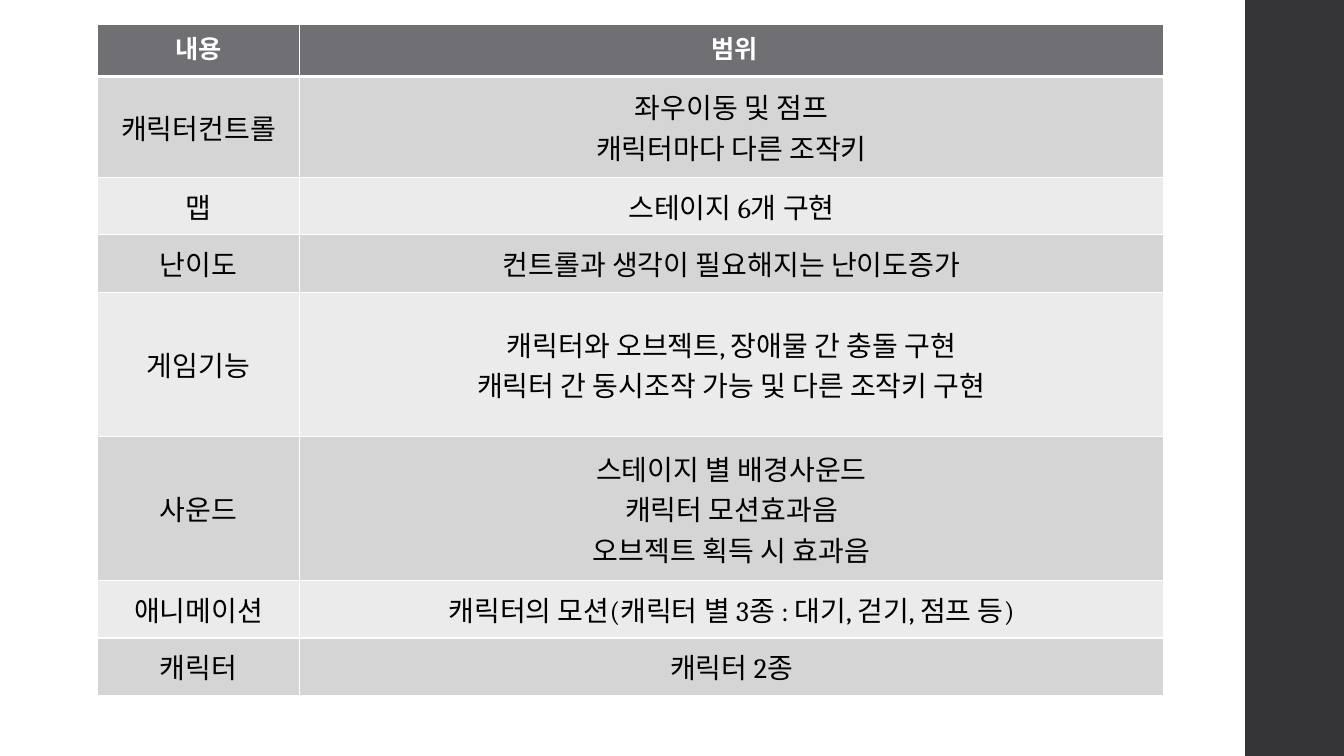
import pptx
import pptx.util
import pptx.dml.color
import pptx.enum.shapes
import pptx.enum.text
import pptx.oxml.ns
from lxml import etree

Inches = pptx.util.Inches
Pt = pptx.util.Pt

COLORS = {
    "white": "FFFFFF",
    "black": "000000",
    "side": "353537",
    "header": "6F6F74",
    "odd": "D5D5D6",
    "even": "EBEBEB",
}
FONT = "Cambria"
COLUMN_WIDTHS = [2, 8.57]
HEADER = ("내용", " 범위")
HEADER_HEIGHT = 0.52
SCOPE_ROWS = [
    (1, "캐릭터컨트롤", ["좌우이동 및 점프", "캐릭터마다 다른 조작키"]),
    (0.57, "맵", ["스테이지 6개 구현"]),
    (0.57, "난이도", ["컨트롤과 생각이 필요해지는 난이도증가"]),
    (1.43, "게임기능", ["캐릭터와 오브젝트, 장애물 간 충돌 구현",
                    "캐릭터 간 동시조작 가능 및 다른 조작키 구현"]),
    (1.43, "사운드", ["스테이지 별 배경사운드", "캐릭터 모션효과음",
                   "오브젝트 획득 시 효과음"]),
    (0.57, "애니메이션", ["캐릭터의 모션(캐릭터 별 3종 : 대기, 걷기, 점프 등)"]),
    (0.57, "캐릭터", ["캐릭터 2종"]),
]


def rgb(name):
    return pptx.dml.color.RGBColor.from_string(COLORS[name])


def add_side_band(slide):
    sp = slide.shapes.add_shape(pptx.enum.shapes.MSO_SHAPE.RECTANGLE,
                                Inches(12.35), 0, Inches(0.98), Inches(7.5))
    sp.shadow.inherit = False
    sp.fill.solid()
    sp.fill.fore_color.rgb = rgb("side")
    sp.line.fill.background()


def set_borders(cell, top=1, bottom=1):
    """Draw white borders; call before filling, as the schema puts lines first."""
    tc_pr = cell._tc.get_or_add_tcPr()
    qn = pptx.oxml.ns.qn
    for side, width in (("L", 1), ("R", 1), ("T", top), ("B", bottom)):
        ln = etree.SubElement(tc_pr, qn(f"a:ln{side}"), w=str(Pt(width)))
        fill = etree.SubElement(ln, qn("a:solidFill"))
        etree.SubElement(fill, qn("a:srgbClr"), val=COLORS["white"])


def fill_cell(cell, lines, fill, color, size, bold=False):
    cell.fill.solid()
    cell.fill.fore_color.rgb = rgb(fill)
    tf = cell.text_frame
    for i, line in enumerate(lines):
        p = tf.paragraphs[0] if i == 0 else tf.add_paragraph()
        p.alignment = pptx.enum.text.PP_ALIGN.CENTER
        r = p.add_run()
        r.text = line
        r.font.name = FONT
        r.font.size = Pt(size)
        r.font.bold = bold
        r.font.color.rgb = rgb(color)


def add_scope_table(slide):
    heights = [HEADER_HEIGHT] + [height for height, _, _ in SCOPE_ROWS]
    table = slide.shapes.add_table(
        len(heights), len(COLUMN_WIDTHS), Inches(0.97), Inches(0.24),
        Inches(sum(COLUMN_WIDTHS)), Inches(sum(heights))).table
    for column, width in zip(table.columns, COLUMN_WIDTHS):
        column.width = Inches(width)
    for row, height in zip(table.rows, heights):
        row.height = Inches(height)

    for col, title in enumerate(HEADER):
        cell = table.cell(0, col)
        set_borders(cell, bottom=3)
        fill_cell(cell, [title], "header", "white", 18, bold=True)
    for row, (_, topic, scope) in enumerate(SCOPE_ROWS, start=1):
        for col, lines in enumerate(([topic], scope)):
            cell = table.cell(row, col)
            cell.vertical_anchor = pptx.enum.text.MSO_ANCHOR.MIDDLE
            set_borders(cell, top=3 if row == 1 else 1)
            fill_cell(cell, lines, "odd" if row % 2 else "even", "black", 20)


def main():
    prs = pptx.Presentation()
    prs.slide_width = Inches(13.33)
    prs.slide_height = Inches(7.5)
    slide = prs.slides.add_slide(prs.slide_layouts[6])
    add_side_band(slide)
    add_scope_table(slide)
    prs.save("out.pptx")


if __name__ == "__main__":
    main()
